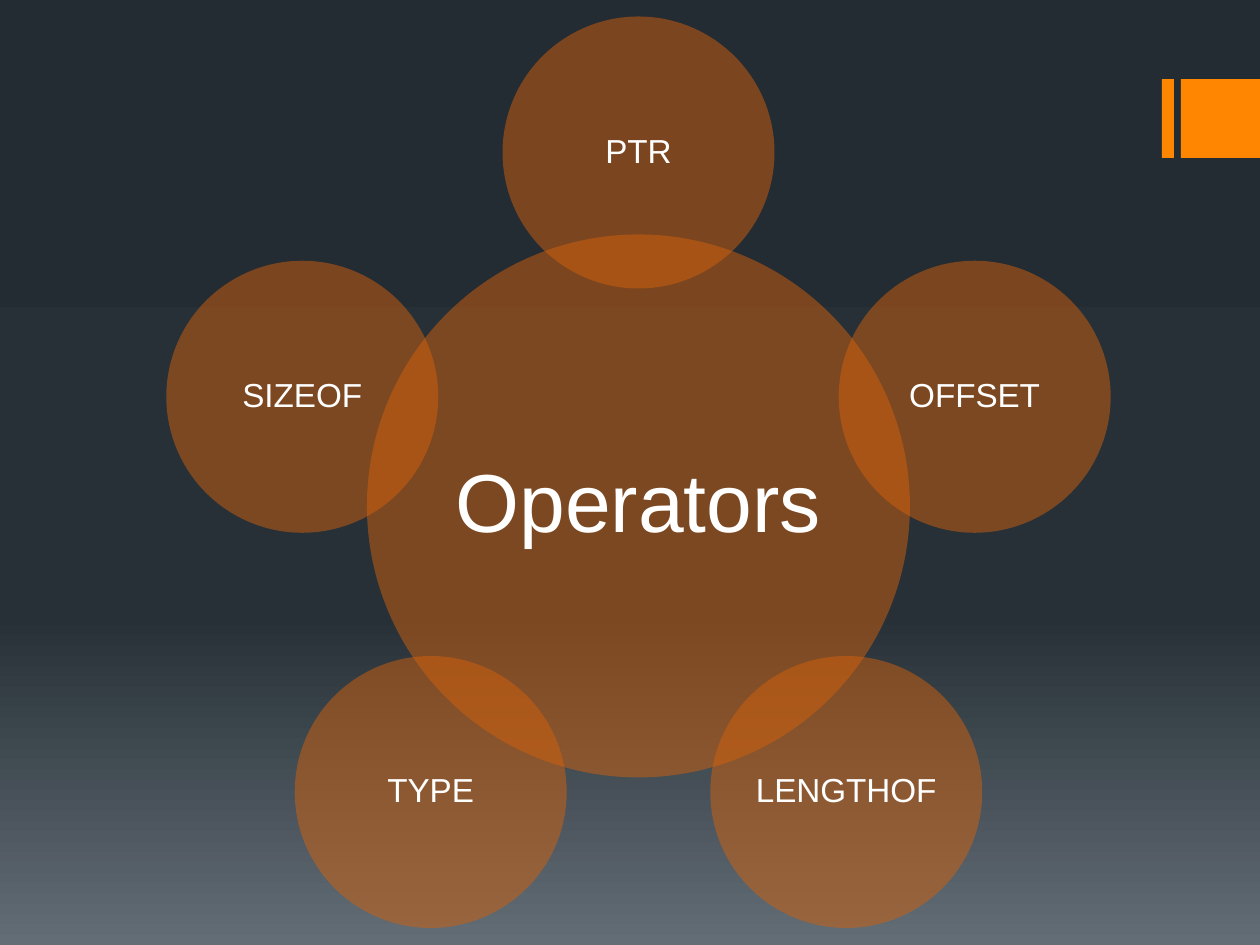
"""Build a radial diagram of assembly operators."""
import math

from lxml import etree
from pptx import Presentation
from pptx import util as u
from pptx.dml.color import RGBColor
from pptx.enum import shapes, text
from pptx.oxml.ns import qn

SCALE = 914400 / 126
CENTER_X, CENTER_Y = 638.5, 506
HUB_SIZE, SATELLITE_SIZE, ORBIT = 543, 272, 353.5
OPERATORS = ["PTR", "OFFSET", "LENGTHOF", "TYPE", "SIZEOF"]


def px(value):
    """Turn picture pixels into EMU."""
    return u.Emu(round(value * SCALE))


def color(value):
    """Turn a hex string into a colour."""
    return RGBColor.from_string(value)


def set_background(slide, stops):
    """Fill the background with a gradient running from top to bottom."""
    fill = slide.background.fill
    fill.gradient()
    fill.gradient_angle = 270
    stop_list = slide.element.find(".//" + qn("a:gsLst"))
    for stop in list(stop_list):
        stop_list.remove(stop)
    for percent, value in stops:
        stop = etree.SubElement(stop_list, qn("a:gs"), pos=str(percent * 1000))
        etree.SubElement(stop, qn("a:srgbClr"), val=value)


def add_plain_shape(slide, kind, left, top, width, height, fill):
    """Add a filled shape without outline or shadow."""
    shape = slide.shapes.add_shape(kind, px(left), px(top), px(width), px(height))
    shape.shadow.inherit = False
    shape.fill.solid()
    shape.fill.fore_color.rgb = color(fill)
    shape.line.fill.background()
    return shape


def add_circle(slide, label, center_x, center_y, size, points, inset):
    """Add a half-transparent circle with a centred label."""
    circle = add_plain_shape(slide, shapes.MSO_SHAPE.OVAL, center_x - size / 2,
                             center_y - size / 2, size, size, "D2610C")
    fill_color = circle.element.spPr.find(qn("a:solidFill"))[0]
    etree.SubElement(fill_color, qn("a:alpha"), val="50000")
    frame = circle.text_frame
    frame.text = label
    frame.word_wrap = False
    frame.vertical_anchor = text.MSO_ANCHOR.MIDDLE
    frame.margin_left = frame.margin_right = px(inset)
    frame.margin_top = frame.margin_bottom = px(inset)
    paragraph = frame.paragraphs[0]
    paragraph.alignment = text.PP_ALIGN.CENTER
    paragraph.line_spacing = 0.9
    font = paragraph.runs[0].font
    font.name = "Arial"
    font.size = u.Pt(points)
    font.color.rgb = color("FFFFFF")


def main():
    """Build and save the slide."""
    presentation = Presentation()
    presentation.slide_width, presentation.slide_height = px(1260), px(945)
    slide = presentation.slides.add_slide(presentation.slide_layouts[6])
    set_background(slide, [(0, "242C33"), (65, "273037"), (100, "636D76")])
    for left, width in [(1162, 12), (1181, 79)]:
        add_plain_shape(slide, shapes.MSO_SHAPE.RECTANGLE, left, 79, width, 79, "FF8600")
    add_circle(slide, "Operators", CENTER_X, CENTER_Y, HUB_SIZE, 47, 9)
    for index, operator in enumerate(OPERATORS):
        angle = math.tau * index / len(OPERATORS)
        add_circle(slide, operator, CENTER_X + ORBIT * math.sin(angle),
                   CENTER_Y - ORBIT * math.cos(angle), SATELLITE_SIZE, 19, 4)
    presentation.save("out.pptx")


main()
